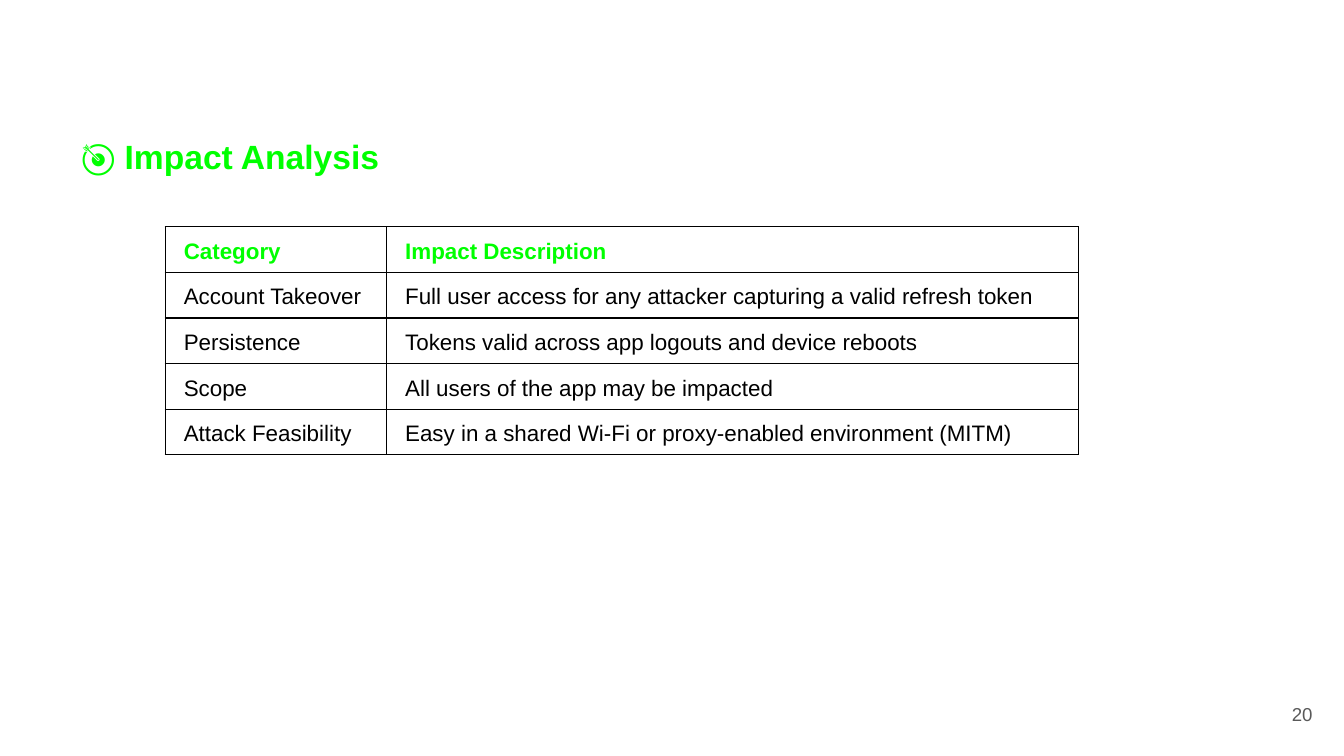
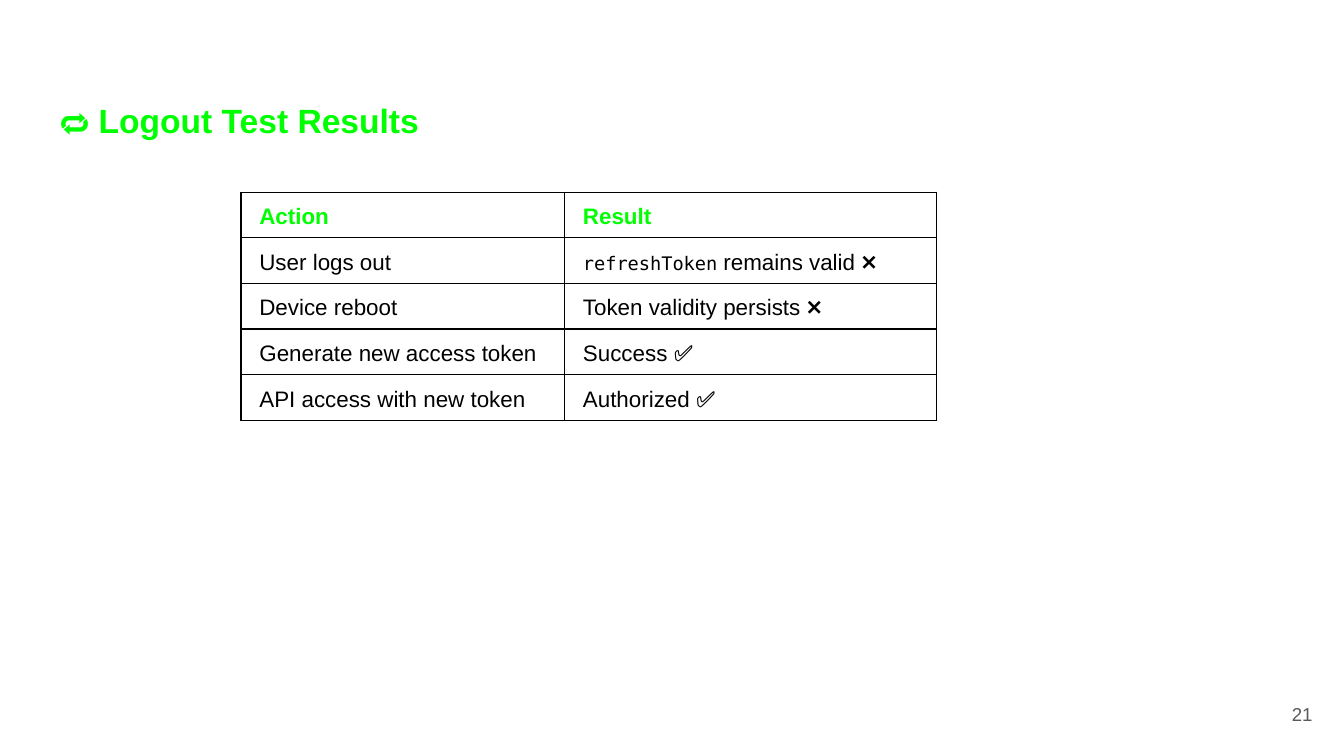
import pptx
import pptx.dml.color
import pptx.enum.text
import pptx.oxml.ns
import pptx.util
from lxml import etree

PX = 2286  # EMU per px, 400 px to the inch
GREEN, BLACK, GREY, WHITE = "00FF00", "000000", "595959", "FFFFFF"
TITLE_ONLY = 5
ANCHOR = pptx.enum.text.MSO_ANCHOR
ALIGN = pptx.enum.text.PP_ALIGN


def px(n):
    return pptx.util.Emu(n * PX)


def color(hex_value):
    return pptx.dml.color.RGBColor.from_string(hex_value)


def add_text(p, text, size=12, font="Arial", fill=BLACK, bold=False):
    r = p.add_run()
    r.text = text
    r.font.size = pptx.util.Pt(size)
    r.font.name = font
    r.font.bold = bold
    r.font.color.rgb = color(fill)


def add_borders(cell, fill=BLACK, width=0.75):
    tc_pr = cell._tc.get_or_add_tcPr()
    qn = pptx.oxml.ns.qn
    for i, side in enumerate(("a:lnL", "a:lnR", "a:lnT", "a:lnB")):
        ln = etree.Element(qn(side), w=str(int(pptx.util.Pt(width))))
        solid = etree.SubElement(ln, qn("a:solidFill"))
        etree.SubElement(solid, qn("a:srgbClr"), val=fill)
        tc_pr.insert(i, ln)


class Deck:
    """Shared style and the slide being built."""

    def __init__(self, width, height):
        self.prs = pptx.Presentation()
        self.prs.slide_width, self.prs.slide_height = px(width), px(height)
        self.slide = None

    def new_slide(self):
        layout = self.prs.slide_layouts[TITLE_ONLY]
        self.slide = self.prs.slides.add_slide(layout)
        bg = self.slide.background.fill
        bg.solid()
        bg.fore_color.rgb = color(WHITE)

    def frame(self, sp):
        """Prepare a wrapped, vertically centred text frame."""
        tf = sp.text_frame
        tf.word_wrap = True
        tf.auto_size = pptx.enum.text.MSO_AUTO_SIZE.NONE
        tf.vertical_anchor = ANCHOR.MIDDLE
        tf.margin_left = tf.margin_right = px(40)
        tf.margin_top = tf.margin_bottom = px(40)
        return tf.paragraphs[0]

    def title(self, text, left, top):
        sp = self.slide.shapes.title
        sp.left, sp.top, sp.width, sp.height = map(px, (left, top, 1312, 504))
        p = self.frame(sp)
        p.alignment = ALIGN.LEFT
        p.line_spacing = 1.25
        p.space_before = pptx.util.Pt(0)
        p.space_after = pptx.util.Pt(4)
        add_text(p, text, size=18, fill=GREEN, bold=True)

    def page_number(self, number):
        sp = self.slide.shapes.add_textbox(*map(px, (3706, 2040, 240, 172)))
        p = self.frame(sp)
        p.alignment = ALIGN.RIGHT
        add_text(p, str(number), size=10, fill=GREY)

    def table(self, rows, left, top, col_widths, row_height=128):
        gf = self.slide.shapes.add_table(
            len(rows), len(col_widths), px(left), px(top),
            px(sum(col_widths)), px(row_height * len(rows)))
        table = gf.table
        table.horz_banding = False
        for col, width in zip(table.columns, col_widths):
            col.width = px(width)
        for i, row in enumerate(rows):
            table.rows[i].height = px(row_height)
            for j, content in enumerate(row):
                self.cell(table.cell(i, j), content, header=i == 0)

    def cell(self, cell, content, header):
        cell.margin_left = cell.margin_right = px(55)
        cell.margin_top = cell.margin_bottom = px(25)
        cell.fill.background()
        add_borders(cell)
        p = cell.text_frame.paragraphs[0]
        p.line_spacing = 1.15
        # A cell holds plain text or a list of (text, format) runs
        runs = [(content, {})] if isinstance(content, str) else content
        style = {"fill": GREEN, "bold": True} if header else {}
        for text, fmt in runs:
            add_text(p, text, **style, **fmt)


IMPACT = [
    ("Category", "Impact Description"),
    ("Account Takeover",
     "Full user access for any attacker capturing a valid refresh token"),
    ("Persistence", "Tokens valid across app logouts and device reboots"),
    ("Scope", "All users of the app may be impacted"),
    ("Attack Feasibility",
     "Easy in a shared Wi-Fi or proxy-enabled environment (MITM)"),
]

CODE = {"size": 10, "font": "DejaVu Sans Mono"}
LOGOUT = [
    ("Action", "Result"),
    ("User logs out", [("refreshToken", CODE), (" remains valid ❌", {})]),
    ("Device reboot", "Token validity persists ❌"),
    ("Generate new access token", "Success ✅"),
    ("API access with new token", "Authorized ✅"),
]


def main():
    deck = Deck(4000, 2250)

    # Impact analysis
    deck.new_slide()
    deck.table(IMPACT, 492, 675, (659, 2059))
    deck.title("🎯 Impact Analysis", 202, 198)
    deck.page_number(20)

    # Logout test results
    deck.new_slide()
    deck.table(LOGOUT, 717, 572, (963, 1108))
    deck.title("🔁 Logout Test Results", 138, 90)
    deck.page_number(21)

    deck.prs.save("out.pptx")


if __name__ == "__main__":
    main()
